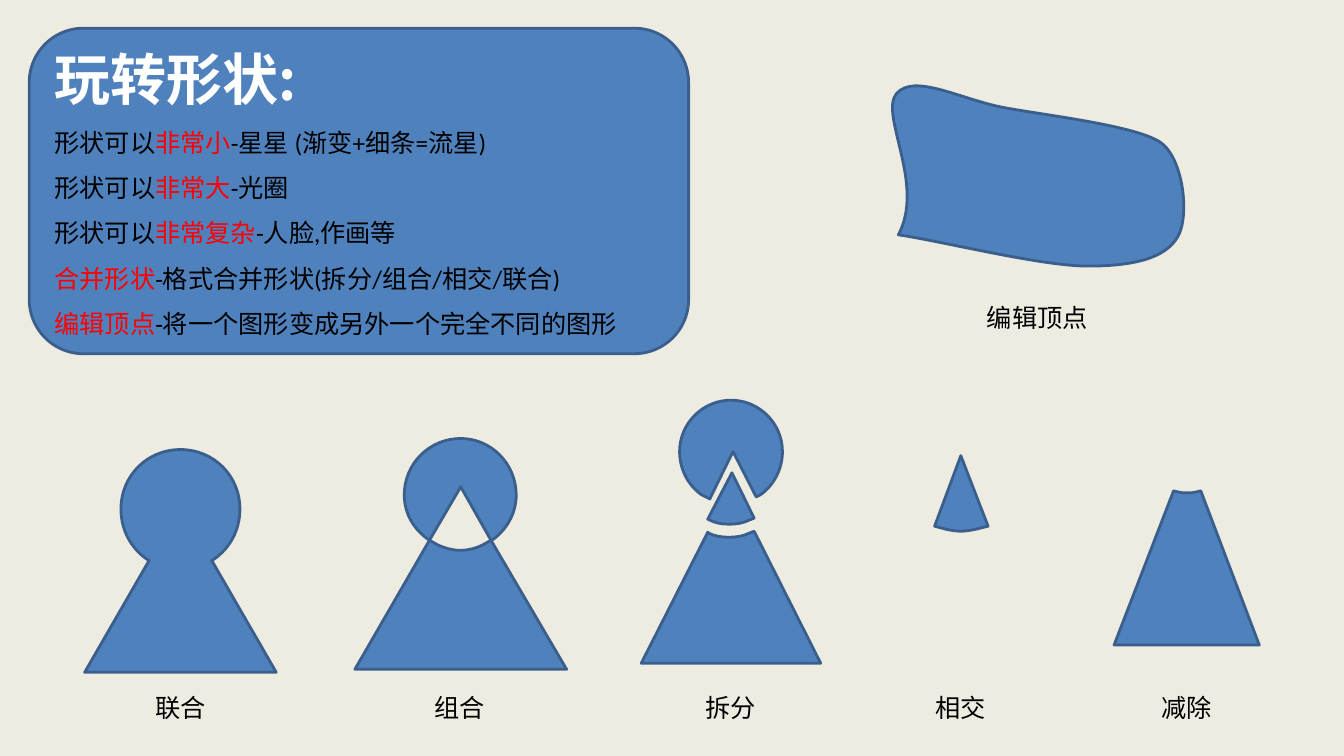
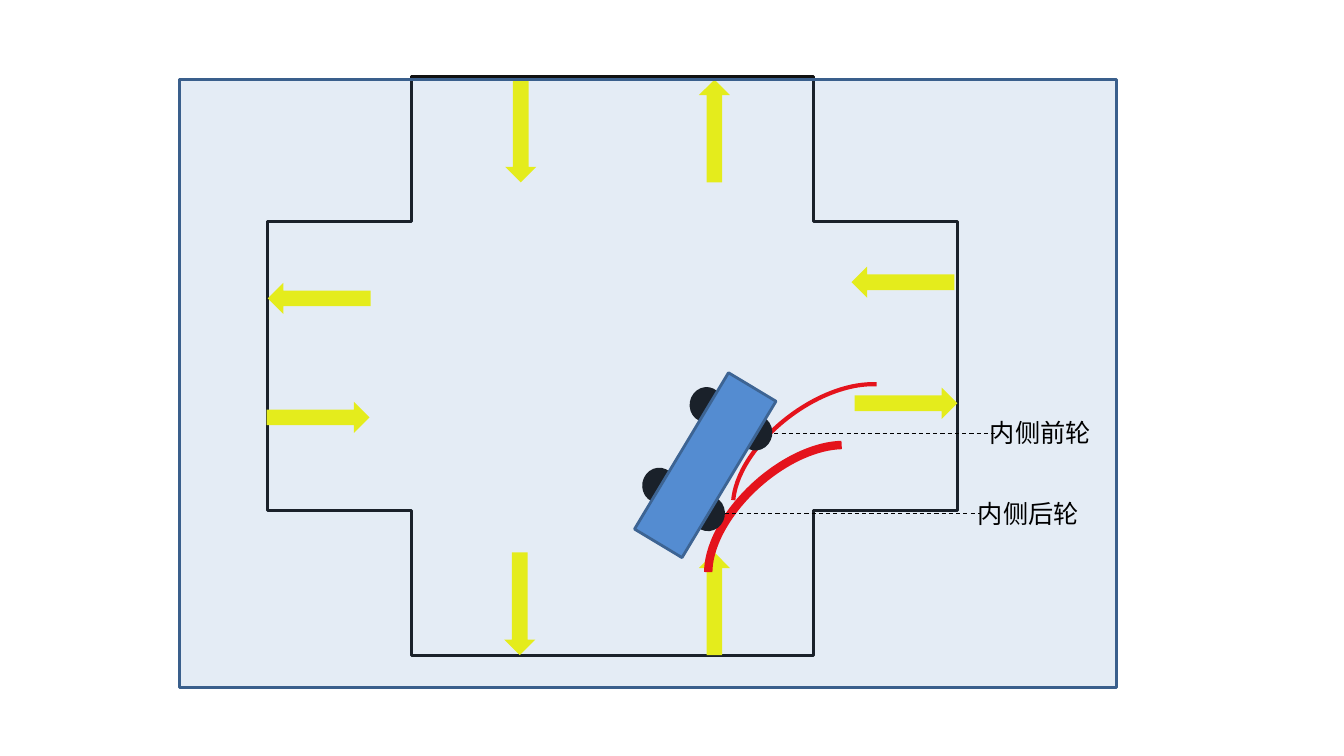
"""Build two slides: shape editing techniques and a turning vehicle's inner wheels."""
from dataclasses import dataclass
from itertools import chain, product
from typing import Optional

from lxml.etree import SubElement
from pptx import Presentation
from pptx.dml.color import RGBColor
from pptx.enum.dml import MSO_LINE
from pptx.enum.shapes import MSO_CONNECTOR, MSO_SHAPE
from pptx.enum.text import MSO_ANCHOR, MSO_AUTO_SIZE, PP_ALIGN
from pptx.oxml.ns import qn
from pptx.util import Inches, Pt

BLUE = RGBColor(0x4F, 0x81, 0xBD)
OUTLINE_BLUE = RGBColor(0x3A, 0x5F, 0x8C)
CAR_BLUE = RGBColor(0x55, 0x8E, 0xD5)
CREAM = RGBColor(0xEE, 0xEC, 0xE1)
WHITE = RGBColor(0xFF, 0xFF, 0xFF)
BLACK = RGBColor(0, 0, 0)
ASPHALT = RGBColor(0x11, 0x11, 0x11)
RED = RGBColor(0xFF, 0, 0)
YELLOW = RGBColor(0xFF, 0xFF, 0)
TITLE_FONT, BODY_FONT = "Noto Sans CJK SC", "Calibri"
Contour = tuple[tuple[float, ...], ...]


@dataclass(frozen=True)
class Caption:
    """A small label and its place."""
    text: str
    left: float
    top: float = 6.82
    width: float = 0.71


@dataclass(frozen=True)
class Example:
    """A captioned example; each piece holds one or more closed contours."""
    caption: Caption
    pieces: tuple[tuple[Contour, ...], ...]


@dataclass(frozen=True)
class LaneArrow:
    """A traffic arrow, pointing down before rotation."""
    left: float
    top: float
    rotation: float


@dataclass(frozen=True)
class WheelTrack:
    """The arc that an inner wheel follows."""
    left: float
    top: float
    rotation: float
    weight: float


@dataclass(frozen=True)
class WheelCallout:
    """A dashed leader from a wheel to its caption."""
    start: float
    end: float
    height: float
    caption: Caption


POINTS = (
    ("形状可以", "非常小", "-星星 (渐变+细条=流星)"),
    ("形状可以", "非常大", "-光圈"),
    ("形状可以", "非常复杂", "-人脸,作画等"),
    ("", "合并形状", "-格式合并形状(拆分/组合/相交/联合)"),
    ("", "编辑顶点", "-将一个图形变成另外一个完全不同的图形"),
)

UNION = (
    (1.79, 4.46), (2.12, 4.46, 2.38, 4.72, 2.38, 5.05),
    (2.38, 5.26, 2.28, 5.44, 2.12, 5.55), (2.1, 5.56), (2.74, 6.67),
    (0.84, 6.67), (1.48, 5.56), (1.46, 5.55),
    (1.3, 5.44, 1.2, 5.26, 1.2, 5.05), (1.2, 4.72, 1.46, 4.46, 1.79, 4.46),
)
COMBINED_BASE = (
    (4.26, 5.36), (4.35, 5.41), (4.42, 5.44, 4.49, 5.46, 4.57, 5.46),
    (4.64, 5.46, 4.72, 5.44, 4.78, 5.41), (4.87, 5.36), (5.62, 6.64),
    (3.52, 6.64),
)
COMBINED_HEAD = (
    (4.57, 4.35), (4.87, 4.35, 5.12, 4.6, 5.12, 4.91),
    (5.12, 5.1, 5.02, 5.26, 4.88, 5.36), (4.87, 5.36), (4.57, 4.83),
    (4.26, 5.36), (4.26, 5.36), (4.11, 5.26, 4.01, 5.1, 4.01, 4.91),
    (4.01, 4.6, 4.26, 4.35, 4.57, 4.35),
)
SPLIT_WEDGE = (
    (7.26, 4.69), (7.48, 5.14), (7.43, 5.16),
    (7.37, 5.19, 7.31, 5.2, 7.23, 5.2), (7.16, 5.2, 7.1, 5.19, 7.04, 5.16),
    (7.02, 5.15), (7.26, 4.69),
)
SPLIT_HEAD = (
    (7.25, 3.97), (7.53, 3.97, 7.76, 4.2, 7.76, 4.48),
    (7.76, 4.66, 7.67, 4.82, 7.54, 4.91), (7.5, 4.93), (7.27, 4.48),
    (7.04, 4.95), (6.96, 4.91), (6.83, 4.82, 6.74, 4.66, 6.74, 4.48),
    (6.74, 4.2, 6.97, 3.97, 7.25, 3.97),
)
SPLIT_BASE = (
    (7.48, 5.27), (8.14, 6.58), (6.36, 6.58), (7.02, 5.28), (7.03, 5.29),
    (7.09, 5.32, 7.16, 5.33, 7.23, 5.33), (7.3, 5.33, 7.37, 5.32, 7.43, 5.29),
    (7.48, 5.27),
)
INTERSECTION = (
    (9.53, 4.52), (9.8, 5.22), (9.68, 5.25),
    (9.63, 5.26, 9.58, 5.27, 9.53, 5.27), (9.48, 5.27, 9.43, 5.26, 9.38, 5.25),
    (9.27, 5.22),
)
SUBTRACTION = (
    (11.64, 4.87), (11.68, 4.88), (11.71, 4.89, 11.74, 4.89, 11.77, 4.89),
    (11.81, 4.89, 11.84, 4.89, 11.87, 4.88), (11.91, 4.87), (12.49, 6.4),
    (11.05, 6.4),
)
EDITED_VERTICES = (
    (8.89, 0.93), (9.07, 0.72, 9.53, 0.99, 9.97, 1.07),
    (10.41, 1.15, 11.29, 1.25, 11.52, 1.42),
    (11.74, 1.59, 11.8, 2.15, 11.68, 2.35),
    (11.56, 2.56, 11.25, 2.64, 10.79, 2.64),
    (10.32, 2.64, 9.33, 2.39, 8.91, 2.33),
    (9.18, 1.83, 8.72, 1.14, 8.89, 0.93),
)
EXAMPLES = (
    Example(Caption("联合", 1.44), ((UNION,),)),
    Example(Caption("组合", 4.21), ((COMBINED_BASE, COMBINED_HEAD),)),
    Example(Caption("拆分", 6.9), ((SPLIT_WEDGE,), (SPLIT_HEAD,), (SPLIT_BASE,))),
    Example(Caption("相交", 9.18), ((INTERSECTION,),)),
    Example(Caption("减除", 11.42), ((SUBTRACTION,),)),
    Example(Caption("编辑顶点", 9.69, 2.95, 1.23), ((EDITED_VERTICES,),)),
)

LANE_ARROWS = (
    LaneArrow(5.01, 0.79, 0), LaneArrow(5, 5.48, 0),
    LaneArrow(6.93, 0.79, 180), LaneArrow(6.93, 5.48, 180),
    LaneArrow(3.01, 2.45, 90), LaneArrow(8.8, 2.29, 90),
    LaneArrow(3, 3.63, 270), LaneArrow(8.83, 3.49, 270),
)
WHEEL_TRACKS = (WheelTrack(7.59, 3.55, 232.9, 3), WheelTrack(7.31, 4.19, 228.2, 6))
WHEEL_CALLOUTS = (
    WheelCallout(7.68, 9.9, 4.3, Caption("内侧前轮", 9.72, 4.09, 1.2)),
    WheelCallout(7.19, 9.72, 5.09, Caption("内侧后轮", 9.6, 4.89, 1.21)),
)


def paint(shape, fill: Optional[RGBColor], line: Optional[RGBColor], weight: float = 2):
    """Set fill and outline and drop the shadow."""
    if fill is None:
        shape.fill.background()
    else:
        shape.fill.solid()
        shape.fill.fore_color.rgb = fill
    if line is None:
        shape.line.fill.background()
    else:
        shape.line.color.rgb = line
        shape.line.width = Pt(weight)
    shape.shadow.inherit = False
    return shape


def add_preset(shapes, preset: MSO_SHAPE, box: tuple[float, ...], fill: Optional[RGBColor],
               line: Optional[RGBColor], weight: float = 2, rotation: float = 0):
    """Add a painted preset shape."""
    shape = shapes.add_shape(preset, *map(Inches, box))
    shape.rotation = rotation
    return paint(shape, fill, line, weight)


def add_piece(shapes, contours: tuple[Contour, ...]) -> None:
    """Draw closed contours as one blue freeform, bending its curved segments."""
    anchors = [[tuple(map(Inches, step[-2:])) for step in contour] for contour in contours]
    builder = shapes.build_freeform(*anchors[0][0])
    for index, vertices in enumerate(anchors):
        if index:
            builder.move_to(*vertices[0])
        builder.add_line_segments(vertices[1:], close=True)
    piece = paint(builder.convert_to_shape(), BLUE, OUTLINE_BLUE)
    segments = list(piece.element.iter(qn("a:lnTo")))
    steps = chain.from_iterable(contour[1:] for contour in contours)
    for segment, step in zip(segments, steps):
        if len(step) == 6:
            segment.tag = qn("a:cubicBezTo")
            for position, (x, y) in enumerate((step[:2], step[2:4])):
                control = SubElement(segment, qn("a:pt"))
                control.set("x", str(Inches(x) - piece.left))
                control.set("y", str(Inches(y) - piece.top))
                segment.insert(position, control)


def style_run(run, color: RGBColor, size: float = 18, font: str = BODY_FONT,
              bold: bool = False) -> None:
    """Format one run."""
    run.font.name, run.font.size, run.font.bold = font, Pt(size), bold
    run.font.color.rgb = color


def add_caption(shapes, caption: Caption) -> None:
    """Add a caption that does not wrap."""
    box = shapes.add_textbox(*map(Inches, (caption.left, caption.top, caption.width, 0.4)))
    frame = box.text_frame
    frame.text = caption.text
    frame.word_wrap = False
    frame.auto_size = MSO_AUTO_SIZE.SHAPE_TO_FIT_TEXT
    style_run(frame.paragraphs[0].runs[0], BLACK)


def place(placeholder, box: tuple[float, ...], anchor: MSO_ANCHOR):
    """Move a placeholder, clear its insets and return its text frame."""
    placeholder.left, placeholder.top, placeholder.width, placeholder.height = map(Inches, box)
    frame = placeholder.text_frame
    frame.margin_left = frame.margin_right = frame.margin_top = frame.margin_bottom = 0
    frame.word_wrap = True
    frame.auto_size = MSO_AUTO_SIZE.NONE
    frame.vertical_anchor = anchor
    return frame


def add_point(paragraph, parts: tuple[str, str, str]) -> None:
    """Write an unbulleted line whose middle part is red."""
    paragraph.alignment = PP_ALIGN.LEFT
    paragraph.line_spacing = 1.5
    paragraph.space_before = Pt(0)
    properties = paragraph._p.get_or_add_pPr()
    properties.set("marL", "0")
    properties.set("indent", "0")
    SubElement(properties, qn("a:buNone"))
    for text, color in zip(parts, (BLACK, RED, BLACK)):
        if text:
            run = paragraph.add_run()
            run.text = text
            style_run(run, color)


def build_shape_slide(deck) -> None:
    """Build the slide on shape techniques."""
    slide = deck.slides.add_slide(deck.slide_layouts[1])
    slide.background.fill.solid()
    slide.background.fill.fore_color.rgb = CREAM
    shapes = slide.shapes
    panel = add_preset(shapes, MSO_SHAPE.ROUNDED_RECTANGLE, (0.29, 0.28, 6.54, 3.23),
                       BLUE, OUTLINE_BLUE)
    shapes.title.element.addprevious(panel.element)
    heading = place(shapes.title, (0.54, 0.38, 6.04, 0.8), MSO_ANCHOR.MIDDLE)
    heading.text = "玩转形状:"
    heading.paragraphs[0].alignment = PP_ALIGN.LEFT
    style_run(heading.paragraphs[0].runs[0], WHITE, 40, TITLE_FONT, True)
    points = place(slide.placeholders[1], (0.54, 1.1, 6.04, 2.26), MSO_ANCHOR.BOTTOM)
    for index, parts in enumerate(POINTS):
        add_point(points.add_paragraph() if index else points.paragraphs[0], parts)
    for example in EXAMPLES:
        for contours in example.pieces:
            add_piece(shapes, contours)
        add_caption(shapes, example.caption)


def build_turning_slide(deck) -> None:
    """Build the crossroads slide with a turning car."""
    shapes = deck.slides.add_slide(deck.slide_layouts[6]).shapes
    add_preset(shapes, MSO_SHAPE.CROSS, (2.65, 0.76, 6.85, 5.74), None, ASPHALT)
    for arrow in LANE_ARROWS:
        add_preset(shapes, MSO_SHAPE.DOWN_ARROW, (arrow.left, arrow.top, 0.31, 1.02),
                   YELLOW, None, rotation=arrow.rotation)
    for track in WHEEL_TRACKS:
        arc = add_preset(shapes, MSO_SHAPE.ARC, (track.left, track.top, 1.2, 2.12),
                         None, RED, track.weight, track.rotation)
        arc.adjustments[0], arc.adjustments[1] = 171.695, 41.668
    car = shapes.add_group_shape().shapes
    for (side_x, side_y), (axle_x, axle_y) in product(
            ((0, 0), (-0.49, -0.28)), ((0, 0), (-0.47, 0.8))):
        add_preset(car, MSO_SHAPE.OVAL,
                   (7.33 + side_x + axle_x, 4.12 + side_y + axle_y, 0.33, 0.35),
                   ASPHALT, None, rotation=10.1)
    add_preset(car, MSO_SHAPE.RECTANGLE, (6.72, 3.71, 0.55, 1.81), CAR_BLUE, OUTLINE_BLUE,
               rotation=31)
    veil = add_preset(shapes, MSO_SHAPE.RECTANGLE, (1.78, 0.79, 9.29, 6.03), BLUE, OUTLINE_BLUE)
    veil_color = veil.element.spPr.find(qn("a:solidFill")).find(qn("a:srgbClr"))
    SubElement(veil_color, qn("a:alpha")).set("val", "15000")
    for callout in WHEEL_CALLOUTS:
        leader = shapes.add_connector(MSO_CONNECTOR.STRAIGHT, *map(
            Inches, (callout.start, callout.height, callout.end, callout.height)))
        leader.line.color.rgb = BLACK
        leader.line.width = Pt(0.75)
        leader.line.dash_style = MSO_LINE.DASH
        SubElement(leader.element.spPr, qn("a:effectLst"))
        add_caption(shapes, callout.caption)


presentation = Presentation()
presentation.slide_width, presentation.slide_height = Inches(13.33), Inches(7.5)
build_shape_slide(presentation)
build_turning_slide(presentation)
presentation.save("out.pptx")
